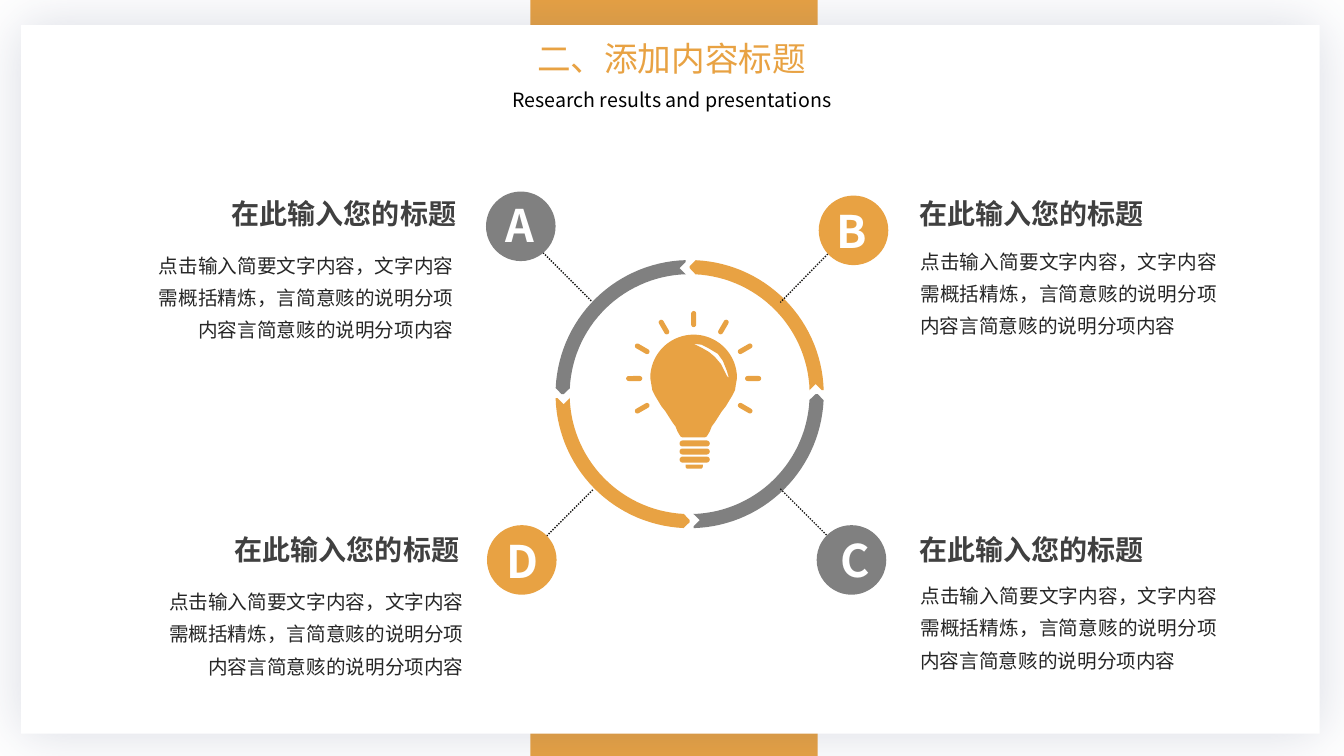
import math

from lxml import etree
from pptx import Presentation
from pptx.dml.color import RGBColor
from pptx.enum.dml import MSO_LINE
from pptx.enum.shapes import MSO_CONNECTOR, MSO_SHAPE
from pptx.enum.text import MSO_ANCHOR, MSO_AUTO_SIZE, PP_ALIGN
from pptx.oxml.ns import qn
from pptx.util import Inches, Pt

RECTANGLE, OVAL = MSO_SHAPE.RECTANGLE, MSO_SHAPE.OVAL
ROUNDED, ROUNDED_TOP = MSO_SHAPE.ROUNDED_RECTANGLE, MSO_SHAPE.ROUND_2_SAME_RECTANGLE
STRAIGHT, DOTTED = MSO_CONNECTOR.STRAIGHT, MSO_LINE.ROUND_DOT
TOP, NO_AUTOFIT = MSO_ANCHOR.TOP, MSO_AUTO_SIZE.NONE
LEFT, CENTER, RIGHT, JUSTIFY = PP_ALIGN.LEFT, PP_ALIGN.CENTER, PP_ALIGN.RIGHT, PP_ALIGN.JUSTIFY

FONT = "Noto Sans CJK SC"
ORANGE, GRAY, WHITE, BLACK = "E8A243", "808080", "FFFFFF", "000000"
HEADING_COLOR, BODY_COLOR, LEADER_COLOR = "404040", "262626", "181715"

HEADING = "在此输入您的标题"
BODY = "点击输入简要文字内容，文字内容需概括精炼，言简意赅的说明分项内容言简意赅的说明分项内容"

RING_X, RING_Y = 6.84, 3.91
RING_OUTER, RING_INNER = 1.33, 1.19
BULB_X, BULB_Y, BULB_RADIUS = 6.88, 3.75, 0.43
RAY_DISTANCE = 0.59

# letter, colour, circle, letter box, heading, body, body alignment, leader line
ITEMS = [
    ("A", GRAY, (4.82, 1.9), (4.92, 1.91, 0.49), (2.2, 1.9), (1.46, 2.38), RIGHT,
     (5.27, 2.39, 5.87, 2.99)),
    ("B", ORANGE, (8.12, 1.94), (8.2, 1.97, 0.51), (9.02, 1.9), (9.03, 2.34), JUSTIFY,
     (8.21, 2.52, 7.74, 3)),
    ("C", GRAY, (8.1, 5.21), (8.24, 5.24, 0.5), (9.02, 5.23), (9.03, 5.66), JUSTIFY,
     (7.74, 4.85, 8.37, 5.48)),
    ("D", ORANGE, (4.83, 5.21), (4.93, 5.25, 0.53), (2.23, 5.23), (1.56, 5.72), RIGHT,
     (5.88, 4.86, 5.25, 5.49)),
]


def rgb(color):
    return RGBColor.from_string(color)


def paint(shape, color):
    shape.shadow.inherit = False
    shape.fill.solid()
    shape.fill.fore_color.rgb = rgb(color)
    shape.line.fill.background()


def add_preset(slide, kind, left, top, width, height, color, rotation=0):
    shape = slide.shapes.add_shape(kind, Inches(left), Inches(top), Inches(width), Inches(height))
    paint(shape, color)
    shape.rotation = rotation
    return shape


def add_outline(slide, contours, color):
    """Draw closed polygons as one shape; a later contour cuts a hole."""
    contours = [[(Inches(x), Inches(y)) for x, y in contour] for contour in contours]
    builder = slide.shapes.build_freeform(*contours[0][0])
    for index, contour in enumerate(contours):
        if index:
            builder.move_to(*contour[0])
        builder.add_line_segments(contour[1:], close=True)
    paint(builder.convert_to_shape(), color)


def write(shape, text, size, color, alignment, bold=False, wrap=True, spacing=None):
    frame = shape.text_frame
    frame.text = text
    frame.word_wrap = wrap
    frame.auto_size = NO_AUTOFIT
    frame.vertical_anchor = TOP
    paragraph = frame.paragraphs[0]
    paragraph.alignment = alignment
    if spacing:
        paragraph.line_spacing = Pt(spacing)
    font = paragraph.runs[0].font
    font.size, font.bold, font.name = Pt(size), bold, FONT
    font.color.rgb = rgb(color)
    latin = paragraph.runs[0].font._element.find(qn("a:latin"))
    east_asian = etree.Element(qn("a:ea"), typeface=FONT)
    latin.addnext(east_asian)


def add_text(slide, left, top, width, height, *content, **style):
    box = slide.shapes.add_textbox(Inches(left), Inches(top), Inches(width), Inches(height))
    write(box, *content, **style)


def add_leader(slide, x1, y1, x2, y2):
    line = slide.shapes.add_connector(STRAIGHT, Inches(x1), Inches(y1), Inches(x2), Inches(y2))
    line.line.color.rgb = rgb(LEADER_COLOR)
    line.line.width = Pt(1)
    line.line.dash_style = DOTTED
    etree.SubElement(line.element.spPr, qn("a:effectLst"))


def add_soft_shadow(shape, color, alpha, blur):
    effects = shape.element.spPr.find(qn("a:effectLst"))
    shadow = etree.SubElement(effects, qn("a:outerShdw"), blurRad=str(Pt(blur)), dist="0",
                              dir="0", algn="ctr", rotWithShape="0")
    tint = etree.SubElement(shadow, qn("a:srgbClr"), val=color)
    etree.SubElement(tint, qn("a:alpha"), val=str(alpha * 1000))


def arc(radius, start, end, steps=30):
    """Points around (0, 0), with angles in degrees clockwise from the right."""
    angles = [math.radians(start + (end - start) * i / steps) for i in range(steps + 1)]
    return [(radius * math.cos(angle), radius * math.sin(angle)) for angle in angles]


def add_frame(slide):
    band = add_preset(slide, RECTANGLE, 5.26, 0, 2.85, 7.5, ORANGE)
    panel = add_preset(slide, RECTANGLE, 0.21, 0.25, 12.88, 7.03, WHITE)
    add_soft_shadow(panel, "434E77", 20, 40)
    for shape in (band, panel):
        slide.shapes.title.element.addprevious(shape.element)


def add_title(slide):
    title = slide.shapes.title
    title.left, title.top, title.width, title.height = map(Inches, (3.95, 0.33, 5.42, 0.5))
    write(title, "二、添加内容标题", 24, ORANGE, CENTER)
    add_text(slide, 3.2, 0.82, 6.93, 0.34, "Research results and presentations", 14, BLACK, CENTER)


def add_ring(slide):
    notch = [(1.31, -0.04), (1.25, -0.1), (1.19, -0.04)]
    tip = [(0, -1.25), (0, -1.27)]
    segment = arc(RING_OUTER, -87.4, -1.7) + notch + arc(RING_INNER, -1.7, -87.2) + tip
    for color in (ORANGE, GRAY, ORANGE, GRAY):
        add_outline(slide, [[(RING_X + x, RING_Y + y) for x, y in segment]], color)
        segment = [(-y, x) for x, y in segment]


def add_bulb(slide):
    right_side = arc(BULB_RADIUS, -90, 0) + [
        (0.42, 0.06), (0.41, 0.12), (0.38, 0.18), (0.35, 0.23), (0.32, 0.28), (0.28, 0.33),
        (0.21, 0.44), (0.18, 0.48), (0.16, 0.53), (0.13, 0.58), (0.11, 0.59)]
    left_side = [(-x, y) for x, y in reversed(right_side)]
    glint = [(0, -0.34), (0.08, -0.33), (0.14, -0.3), (0.19, -0.27), (0.24, -0.24),
             (0.29, -0.17), (0.33, -0.07), (0.35, 0), (0.33, -0.02), (0.27, -0.14),
             (0.21, -0.21), (0.15, -0.26), (0.08, -0.3)]
    contours = [right_side + left_side, glint]
    add_outline(slide, [[(BULB_X + x, BULB_Y + y) for x, y in c] for c in contours], ORANGE)

    for row in range(3):
        thread = add_preset(slide, ROUNDED, 6.74, 4.37 + 0.08 * row, 0.3, 0.06, ORANGE)
        thread.adjustments[0] = 0.5
    base = add_preset(slide, ROUNDED_TOP, 6.8, 4.61, 0.17, 0.04, ORANGE, rotation=180)
    base.adjustments[0] = 0.5

    for angle in range(-210, 31, 30):
        x = BULB_X + RAY_DISTANCE * math.cos(math.radians(angle))
        y = BULB_Y + RAY_DISTANCE * math.sin(math.radians(angle))
        ray = add_preset(slide, ROUNDED, x - 0.08, y - 0.02, 0.16, 0.05, ORANGE, rotation=angle)
        ray.adjustments[0] = 0.5


def add_item(slide, letter, color, circle, letter_box, heading, body, alignment, leader):
    add_leader(slide, *leader)
    add_preset(slide, OVAL, *circle, 0.69, 0.69, color)
    add_text(slide, *letter_box, 0.64, letter, 32, WHITE, LEFT, bold=True, wrap=False)
    add_text(slide, *heading, 2.51, 0.44, HEADING, 20, HEADING_COLOR, JUSTIFY, bold=True)
    add_text(slide, *body, 3.14, 1.03, BODY, 14, BODY_COLOR, alignment, spacing=23)


def main():
    presentation = Presentation()
    presentation.slide_width, presentation.slide_height = Inches(13.33), Inches(7.5)
    slide = presentation.slides.add_slide(presentation.slide_layouts[5])
    add_frame(slide)
    add_title(slide)
    add_ring(slide)
    add_bulb(slide)
    for item in ITEMS:
        add_item(slide, *item)
    presentation.save("out.pptx")


if __name__ == "__main__":
    main()
